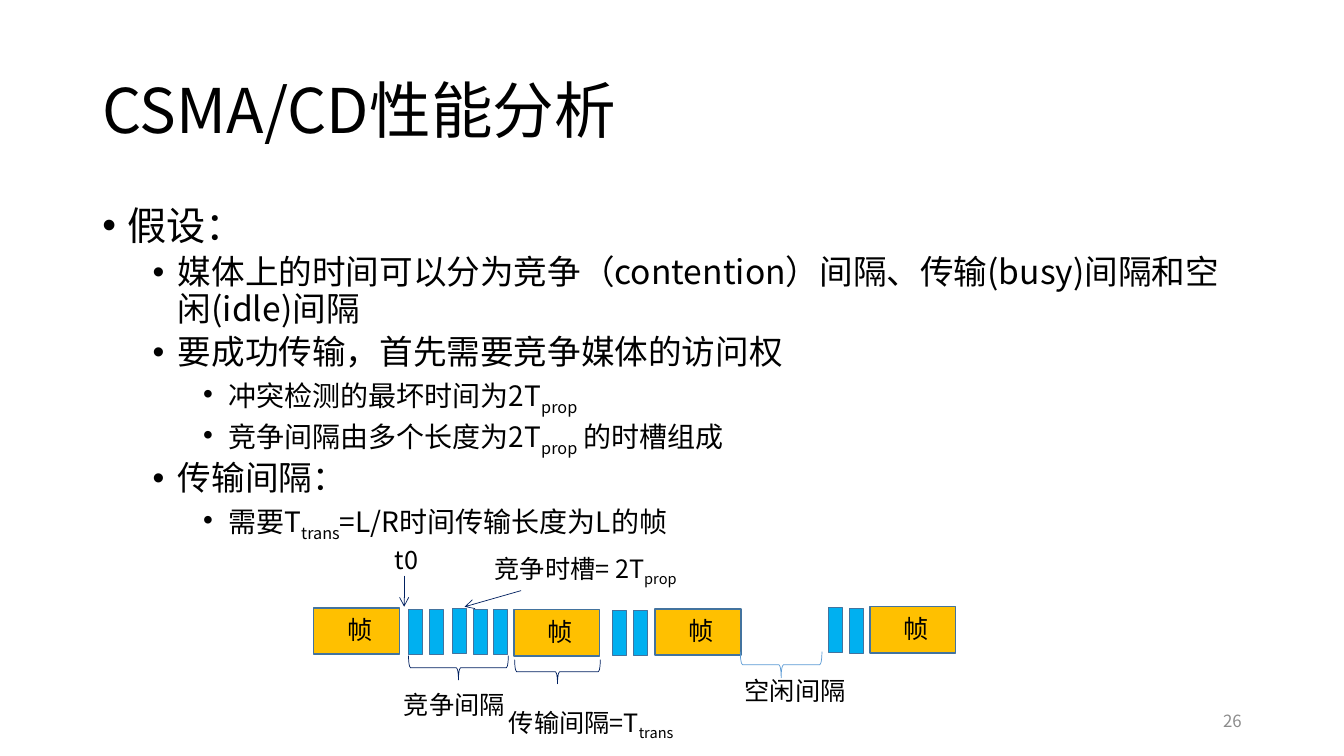
import pptx
import pptx.util
import pptx.dml.color
import pptx.enum.shapes
import pptx.enum.text
import pptx.oxml.ns
import lxml.etree

Pt = pptx.util.Pt
RGBColor = pptx.dml.color.RGBColor
Shape = pptx.enum.shapes.MSO_SHAPE
Align = pptx.enum.text.PP_ALIGN
Anchor = pptx.enum.text.MSO_ANCHOR
qn = pptx.oxml.ns.qn

BLACK = RGBColor(0x00, 0x00, 0x00)
GREY = RGBColor(0x8C, 0x8C, 0x8C)
AMBER = RGBColor(0xFF, 0xC0, 0x00)
CYAN = RGBColor(0x00, 0xB0, 0xF0)
EDGE = RGBColor(0x43, 0x73, 0x9E)
NAVY = RGBColor(0x00, 0x20, 0x60)
BLUE = RGBColor(0x5B, 0x9B, 0xD5)

BODY_SIZES = (28, 24, 20)
ASSUMPTIONS = [
    (0, ["假设："]),
    (1, ["媒体上的时间可以分为竞争（contention）间隔、传输(busy)间隔和空闲(idle)间隔"]),
    (1, ["要成功传输，首先需要竞争媒体的访问权"]),
    (2, ["冲突检测的最坏时间为2T", "prop"]),
    (2, ["竞争间隔由多个长度为2T", "prop", " 的时槽组成"]),
    (1, ["传输间隔："]),
    (2, ["需要T", "trans", "=L/R时间传输长度为L的帧"]),
]
FRAMES = [(224, 434.2), (367.2, 435.6), (468, 434.9), (621.4, 433.4)]
SLOTS = [
    (291.6, 435.6), (306.7, 435.6), (323.3, 434.9), (338.4, 435.6), (352.8, 435.6),
    (437.8, 436.3), (452.2, 436.3), (591.8, 434.2), (607, 434.9),
]
BRACES = [
    (291.8, 468.4, 71.3, 17.3, NAVY),
    (367.6, 471.2, 61.2, 17.3, NAVY),
    (528.8, 465.5, 58.3, 18.7, BLUE),
]
LABELS = [
    ((281.5, 488.9, 95.8, 31), ["竞争间隔"]),
    ((356.4, 501.8, 159.8, 37.4), ["传输间隔=T", "trans"]),
    ((524.9, 478.8, 113.8, 31.7), ["空闲间隔"]),
    ((275, 385.2, 77, 31), ["t0"]),
    ((346.3, 391.7, 184.3, 31), ["竞争时槽= 2T", "prop"]),
]
ARROWS = [(288.7, 411.1, 288.7, 433.4), (372.2, 421.9, 331.9, 433.4)]


class SlideBuilder:
    font_name = "Noto Sans CJK SC"

    def __init__(self, slide):
        self.slide = slide

    def apply(self, target, values):
        for key, value in values.items():
            setattr(target, key, value)

    def add_runs(self, paragraph, pieces, size, color=BLACK, **layout):
        self.apply(paragraph, layout)
        for index, piece in enumerate(pieces):
            run = paragraph.add_run()
            run.text = piece
            self.apply(run.font, {"size": Pt(size), "name": self.font_name})
            run.font.color.rgb = color
            properties = run._r.get_or_add_rPr()
            east_asian = lxml.etree.SubElement(properties, qn("a:ea"))
            east_asian.set("typeface", self.font_name)
            if index % 2:
                properties.set("baseline", "-25000")

    def text(self, box, pieces, size, anchor=Anchor.TOP, color=BLACK, **layout):
        frame = self.slide.shapes.add_textbox(*map(Pt, box)).text_frame
        self.apply(frame, {"word_wrap": True, "vertical_anchor": anchor})
        self.add_runs(frame.paragraphs[0], pieces, size, color, **layout)

    def bullets(self, box, items):
        frame = self.slide.shapes.add_textbox(*map(Pt, box)).text_frame
        frame.word_wrap = True
        for index, (level, pieces) in enumerate(items):
            paragraph = frame.add_paragraph() if index else frame.paragraphs[0]
            properties = paragraph._p.get_or_add_pPr()
            properties.set("marL", str(Pt(18 + 36 * level)))
            properties.set("indent", str(Pt(-18)))
            bullet_font = lxml.etree.SubElement(properties, qn("a:buFont"))
            bullet_font.set("typeface", "Arial")
            lxml.etree.SubElement(properties, qn("a:buChar")).set("char", "•")
            self.add_runs(paragraph, pieces, BODY_SIZES[level], level=level,
                          line_spacing=0.9, space_before=Pt(5 if index else 0))

    def shape(self, kind, box, fill, edge, width):
        shape = self.slide.shapes.add_shape(kind, *map(Pt, box))
        shape.shadow.inherit = False
        if fill is None:
            shape.fill.background()
        else:
            shape.fill.solid()
            shape.fill.fore_color.rgb = fill
        shape.line.color.rgb = edge
        shape.line.width = Pt(width)
        return shape

    def frame(self, left, top):
        block = self.shape(Shape.RECTANGLE, (left, top, 61.2, 33.1), AMBER, EDGE, 1)
        self.apply(block.text_frame, {
            "margin_left": Pt(24), "margin_right": Pt(0), "margin_top": Pt(4.6),
            "margin_bottom": Pt(0), "vertical_anchor": Anchor.TOP,
        })
        self.add_runs(block.text_frame.paragraphs[0], ["帧"], 18, alignment=Align.JUSTIFY)

    def slot(self, left, top):
        self.shape(Shape.RECTANGLE, (left, top, 10.1, 31.7), CYAN, EDGE, 0.75)

    def brace(self, left, top, span, depth, color):
        shift = (span - depth) / 2
        box = (left + shift, top - shift, depth, span)
        self.shape(Shape.RIGHT_BRACE, box, None, color, 0.5).rotation = 90

    def arrow(self, *ends):
        straight = pptx.enum.shapes.MSO_CONNECTOR.STRAIGHT
        arrow = self.slide.shapes.add_connector(straight, *map(Pt, ends))
        arrow.line.color.rgb = NAVY
        arrow.line.width = Pt(0.5)
        line = arrow.line._get_or_add_ln()
        lxml.etree.SubElement(line, qn("a:tailEnd")).set("type", "arrow")
        lxml.etree.SubElement(arrow._element.spPr, qn("a:effectLst"))


def main():
    deck = pptx.Presentation()
    deck.slide_width, deck.slide_height = Pt(960), Pt(540)
    page = SlideBuilder(deck.slides.add_slide(deck.slide_layouts[6]))
    page.text((66, 28.8, 828, 104.4), ["CSMA/CD性能分析"], 44, Anchor.MIDDLE, line_spacing=0.9)
    page.bullets((66, 144, 828, 342.7), ASSUMPTIONS)
    page.text((678, 500.4, 216, 28.8), ["26"], 12, Anchor.MIDDLE, GREY, alignment=Align.RIGHT)
    for position in FRAMES:
        page.frame(*position)
    for position in SLOTS:
        page.slot(*position)
    for brace in BRACES:
        page.brace(*brace)
    for box, pieces in LABELS:
        page.text(box, pieces, 18, alignment=Align.JUSTIFY)
    for ends in ARROWS:
        page.arrow(*ends)
    deck.save("out.pptx")


if __name__ == "__main__":
    main()
